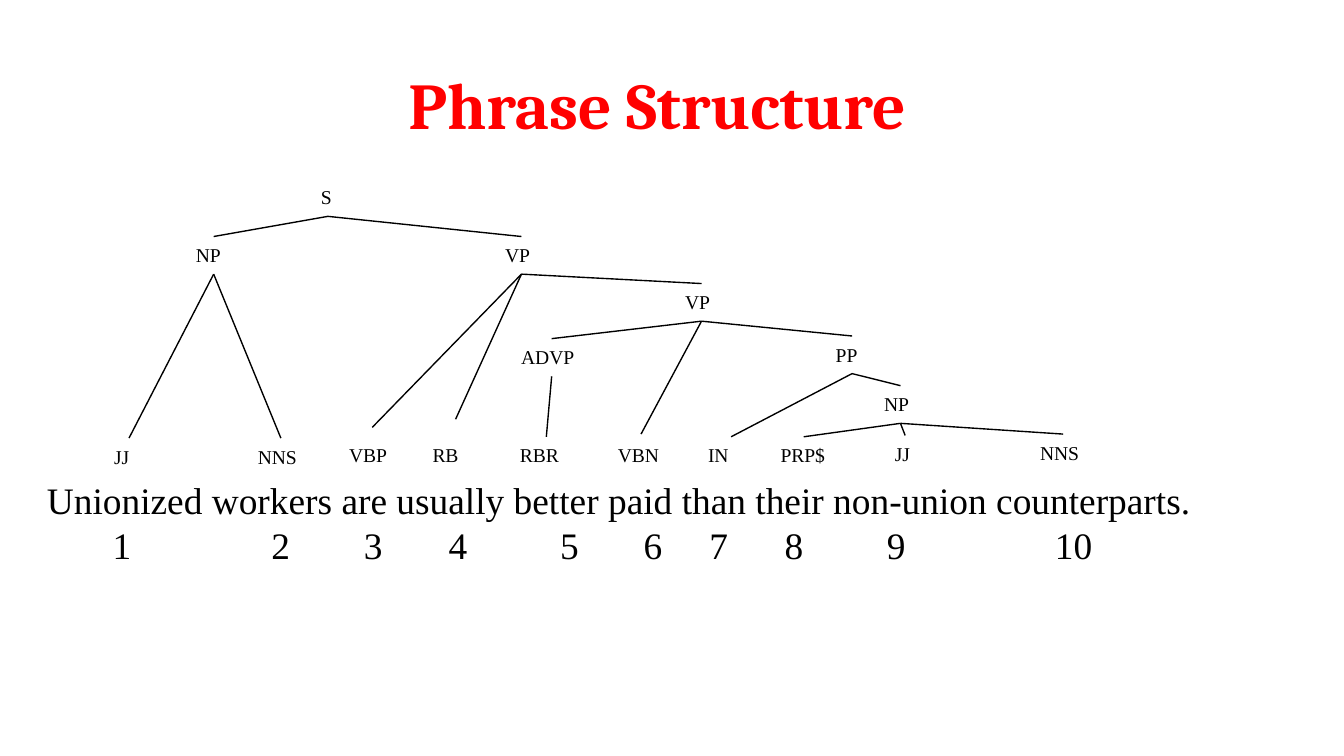
from lxml import etree
from pptx import Presentation
from pptx.dml.color import RGBColor
from pptx.enum import shapes, text
from pptx.oxml import ns
from pptx.util import Inches, Pt


def style(font, **values):
    color = values.pop("color", "000000")
    for key, value in values.items():
        setattr(font, key, value)
    font.color.rgb = RGBColor.from_string(color)


def add_words(left, top, width, height, lines, size):
    """Add a text box with one paragraph per line."""
    box = slide.shapes.add_textbox(*map(Inches, (left, top, width, height)))
    frame = box.text_frame
    frame.word_wrap = True
    frame.auto_size = text.MSO_AUTO_SIZE.SHAPE_TO_FIT_TEXT
    frame.text = "\n".join(lines)
    for paragraph in frame.paragraphs:
        for run in paragraph.runs:
            style(run.font, name="Times New Roman", size=Pt(size))
    return box


prs = Presentation()
prs.slide_width = Inches(10)
prs.slide_height = prs.slide_width * 9 // 16
slide = prs.slides.add_slide(prs.slide_layouts[5])

title = slide.shapes.title
for side, value in {"left": 0.28, "top": 0.43, "width": 9.22, "height": 0.77}.items():
    setattr(title, side, Inches(value))
title.text_frame.text = "Phrase Structure"
title.text_frame.vertical_anchor = text.MSO_ANCHOR.TOP
heading = title.text_frame.paragraphs[0]
heading.alignment = text.PP_ALIGN.CENTER
style(heading.runs[0].font, name="Cambria", size=Pt(35), bold=True, color="FF0000")

# Sentence, with each word's number at a tab stop below it
number_stops = [0.49, 1.67, 2.36, 2.99, 3.82, 4.44, 4.93, 5.49, 6.25, 7.5]
numbers = "".join(f"\t{i}" for i in range(1, len(number_stops) + 1))
sentence = add_words(0.25, 3.5, 8.75, 0.77, [
    "Unionized workers are usually better paid than their non-union counterparts.",
    numbers,
], 20)
number_props = sentence.text_frame.paragraphs[1]._p.get_or_add_pPr()
tab_list = etree.SubElement(number_props, ns.qn("a:tabLst"))
for stop in number_stops:
    etree.SubElement(tab_list, ns.qn("a:tab"), pos=str(Inches(stop)), algn="l")

# Tree nodes: key -> label, left, top, width
nodes = {
    "s": ("S", 2.29, 1.33, 0.3),
    "subject": ("NP", 1.36, 1.76, 0.46),
    "outer vp": ("VP", 3.66, 1.76, 0.44),
    "inner vp": ("VP", 5, 2.11, 0.44),
    "advp": ("ADVP", 3.78, 2.52, 0.65),
    "pp": ("PP", 6.12, 2.5, 0.44),
    "object": ("NP", 6.48, 2.87, 0.44),
    "unionized": ("JJ", 0.75, 3.26, 0.42),
    "workers": ("NNS", 1.82, 3.26, 0.54),
    "are": ("VBP", 2.5, 3.25, 0.54),
    "usually": ("RB", 3.12, 3.25, 0.54),
    "better": ("RBR", 3.77, 3.25, 0.59),
    "paid": ("VBN", 4.5, 3.25, 0.54),
    "than": ("IN", 5.17, 3.25, 0.54),
    "their": ("PRP$", 5.71, 3.25, 0.54),
    "non-union": ("JJ", 6.56, 3.24, 0.35),
    "counterparts": ("NNS", 7.64, 3.23, 0.54),
}
boxes = {key: add_words(left, top, width, 0.28, [label], 10.5)
         for key, (label, left, top, width) in nodes.items()}

branches = {
    "s": ["subject", "outer vp"],
    "subject": ["unionized", "workers"],
    "outer vp": ["are", "usually", "inner vp"],
    "inner vp": ["advp", "paid", "pp"],
    "advp": ["better"],
    "pp": ["than", "object"],
    "object": ["their", "non-union", "counterparts"],
}
# Branches that stop short of the word's label
short_ends = {"are": 3.18, "usually": 3.12, "paid": 3.23}

for parent, children in branches.items():
    for child in children:
        upper, lower = boxes[parent], boxes[child]
        end_y = Inches(short_ends[child]) if child in short_ends else lower.top
        branch = slide.shapes.add_connector(
            shapes.MSO_CONNECTOR.STRAIGHT,
            upper.left + upper.width // 2, upper.top + upper.height,
            lower.left + lower.width // 2, end_y)
        branch.begin_connect(upper, 2)
        if child not in short_ends:
            branch.end_connect(lower, 0)
        branch.line.width = Pt(0.75)
        branch.line.color.rgb = RGBColor.from_string("000000")
        etree.SubElement(branch._element.spPr, ns.qn("a:effectLst"))

prs.save("out.pptx")
